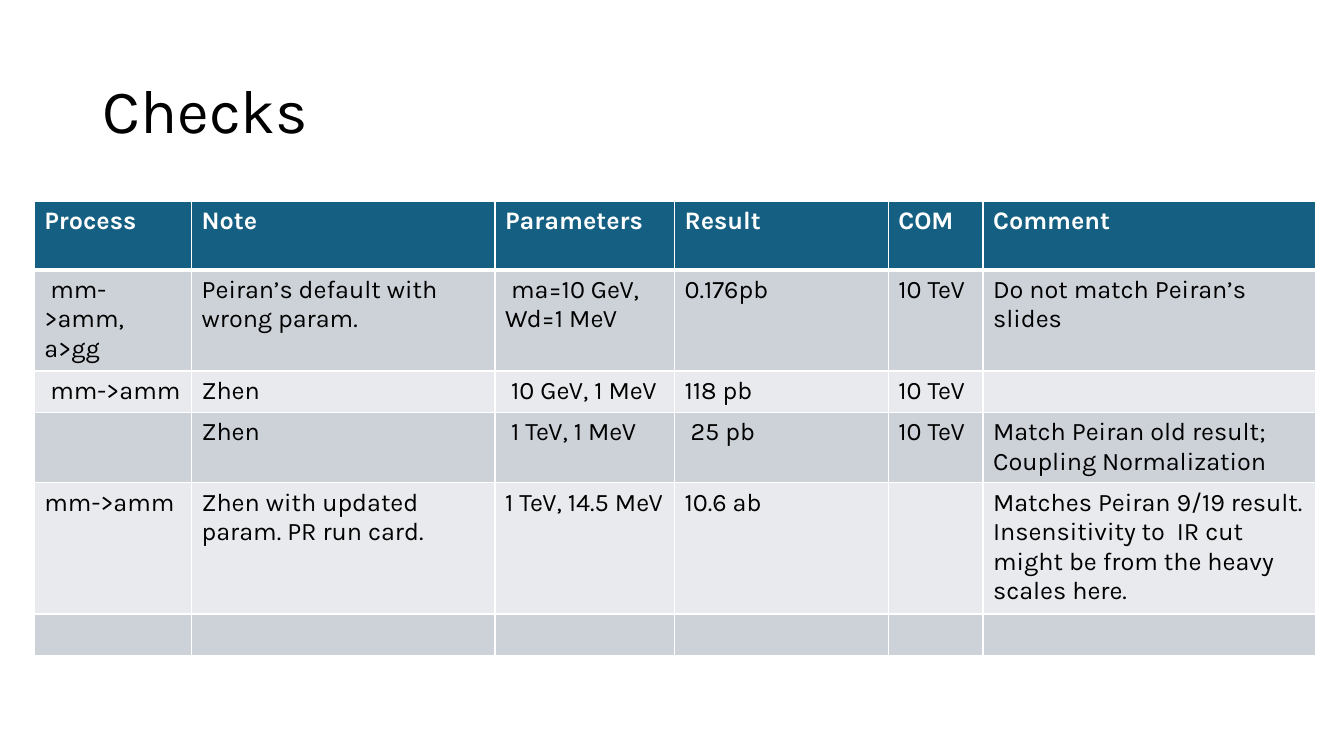
from lxml.etree import SubElement
from pptx import Presentation
from pptx.dml.color import RGBColor
from pptx.enum.text import MSO_ANCHOR
from pptx.oxml.ns import qn
from pptx.util import Inches, Pt

FONT = "Karla"
BLACK = RGBColor(0x00, 0x00, 0x00)
WHITE = RGBColor(0xFF, 0xFF, 0xFF)
TEAL = RGBColor(0x15, 0x60, 0x82)
BAND_DARK = RGBColor(0xCC, 0xD2, 0xD8)
BAND_LIGHT = RGBColor(0xE8, 0xEA, 0xED)

COL_WIDTHS = [1.56, 3.01, 1.78, 2.12, 0.94, 3.3]
ROW_HEIGHTS = [0.68, 0.99, 0.41, 0.69, 1.27, 0.41]
CHECKS = [
    ["Process", "Note", "Parameters", "Result", "COM", "Comment"],
    [" mm->amm, a>gg", "Peiran’s default with wrong param.", " ma=10 GeV, Wd=1 MeV",
     "0.176pb", "10 TeV", "Do not match Peiran’s slides"],
    [" mm->amm", "Zhen", " 10 GeV, 1 MeV", "118 pb", "10 TeV", ""],
    ["", "Zhen", " 1 TeV, 1 MeV", " 25 pb", "10 TeV",
     "Match Peiran old result; Coupling Normalization"],
    ["mm->amm", "Zhen with updated param. PR run card.", "1 TeV, 14.5 MeV", "10.6 ab", "",
     "Matches Peiran 9/19 result. Insensitivity to  IR cut might be from the heavy scales here."],
    [""] * 6,
]


def style_font(font, size, color, bold=False):
    font.name = FONT
    font.size = Pt(size)
    font.bold = bold
    font.color.rgb = color


def add_border(cell, side, width):
    ln = SubElement(cell._tc.get_or_add_tcPr(), qn("a:ln" + side), w=str(Pt(width)))
    fill = SubElement(ln, qn("a:solidFill"))
    SubElement(fill, qn("a:srgbClr"), val=str(WHITE))


prs = Presentation()
prs.slide_width, prs.slide_height = Inches(13.33), Inches(7.5)
s = prs.slides.add_slide(prs.slide_layouts[6])

# Title
sp = s.shapes.add_textbox(Inches(0.92), Inches(0.4), Inches(11.5), Inches(1.45))
tf = sp.text_frame
tf.word_wrap = True
tf.vertical_anchor = MSO_ANCHOR.MIDDLE
tf.text = "Checks"
p = tf.paragraphs[0]
p.line_spacing = 0.9
style_font(p.runs[0].font, 44, BLACK)

# Table of checks
table = s.shapes.add_table(len(CHECKS), len(COL_WIDTHS), Inches(0.34), Inches(2),
                           Inches(sum(COL_WIDTHS)), Inches(sum(ROW_HEIGHTS))).table
for column, width in zip(table.columns, COL_WIDTHS):
    column.width = Inches(width)
for row, height in zip(table.rows, ROW_HEIGHTS):
    row.height = Inches(height)

for i, texts in enumerate(CHECKS):
    header = i == 0
    band = TEAL if header else BAND_DARK if i % 2 else BAND_LIGHT
    # The rule below the header is heavier than the other borders
    borders = {"L": 1, "R": 1, "T": 3 if i == 1 else 1, "B": 3 if header else 1}
    for j, text in enumerate(texts):
        cell = table.cell(i, j)
        for side, width in borders.items():
            add_border(cell, side, width)
        cell.fill.solid()
        cell.fill.fore_color.rgb = band
        cell.text_frame.text = text
        for r in cell.text_frame.paragraphs[0].runs:
            style_font(r.font, 18, WHITE if header else BLACK, header)

prs.save("out.pptx")
